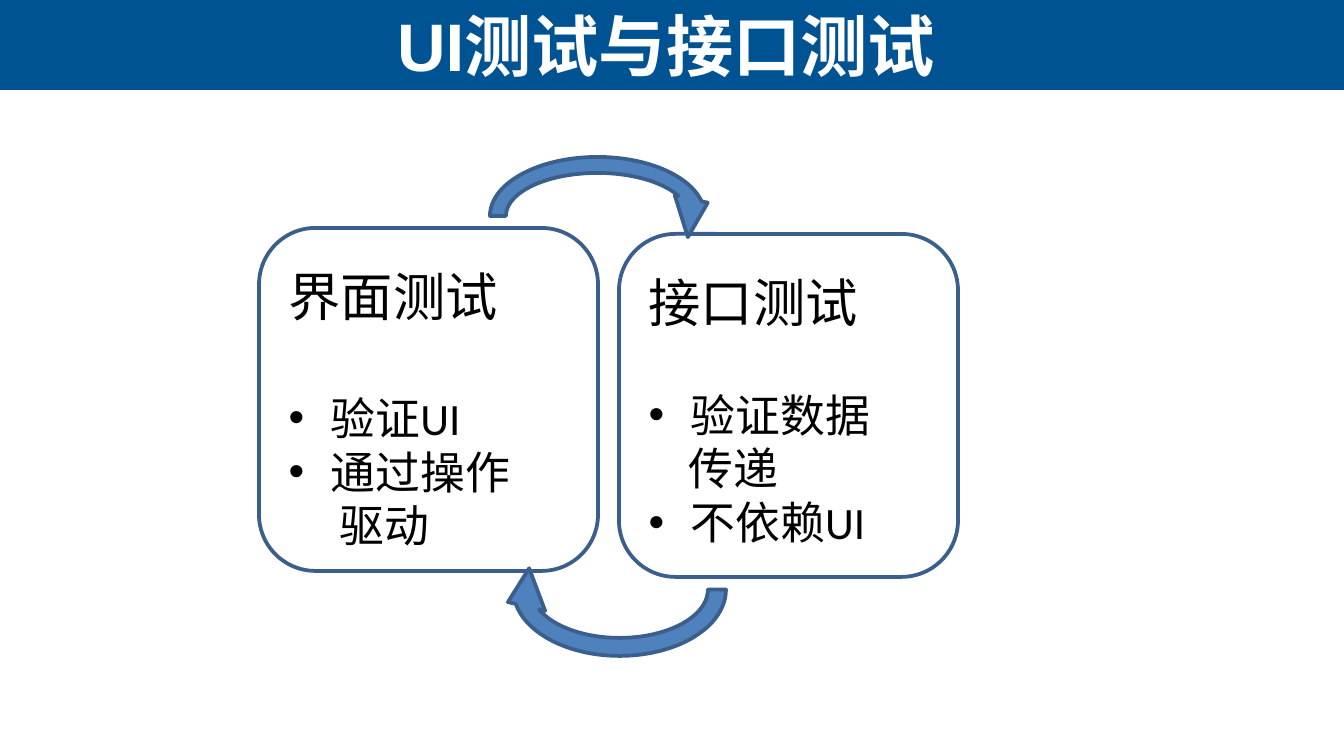
from lxml import etree
from pptx import Presentation
from pptx.dml.color import RGBColor
from pptx.enum.shapes import MSO_SHAPE
from pptx.enum.text import MSO_ANCHOR, MSO_AUTO_SIZE, PP_ALIGN
from pptx.oxml.ns import qn
from pptx.util import Inches, Pt

RECT = MSO_SHAPE.RECTANGLE
ROUND = MSO_SHAPE.ROUNDED_RECTANGLE
ARROW = MSO_SHAPE.CIRCULAR_ARROW
TOP, MIDDLE = MSO_ANCHOR.TOP, MSO_ANCHOR.MIDDLE
LEFT, CENTER = PP_ALIGN.LEFT, PP_ALIGN.CENTER
FIXED = MSO_AUTO_SIZE.NONE

SCALE = Inches(10) / 1344
WHITE, BLACK = "FFFFFF", "000000"
NAVY, BLUE, EDGE = "005392", "4F81BD", "3A5F8C"
BEND = (0.118, 14.139, 209.801, 108, 0.125)
HANG = 42


def px(n):
    return round(n * SCALE)


def color(code):
    return RGBColor.from_string(code)


def add_shape(slide, kind, area, fill, line=None):
    shape = slide.shapes.add_shape(kind, *map(px, area))
    shape.shadow.inherit = False
    shape.fill.solid()
    shape.fill.fore_color.rgb = color(fill)
    if line:
        shape.line.color.rgb = color(line)
        shape.line.width = Pt(2)
    else:
        shape.line.fill.background()
    return shape


def set_font(para, name, size, code, bold=False):
    font = para.font
    font.name = name
    font.size = Pt(size)
    font.bold = bold
    font.color.rgb = color(code)


def set_indent(para, left, bullet):
    props = para._p.get_or_add_pPr()
    props.set("marL", str(px(left)))
    if bullet:
        props.set("indent", str(-px(left)))
        face = etree.SubElement(props, qn("a:buFont"))
        face.set("typeface", "Arial")
        mark = etree.SubElement(props, qn("a:buChar"))
        mark.set("char", "•")


def add_title(slide, text):
    band = add_shape(slide, RECT, (0, 0, 1344, 90), NAVY)
    slide.shapes._spTree.insert(2, band._element)
    title = slide.shapes.title
    title.left, title.top, title.width, title.height = map(px, (3, 0, 1326, 90))
    frame = title.text_frame
    frame.text = text
    frame.auto_size = FIXED
    frame.vertical_anchor = MIDDLE
    para = frame.paragraphs[0]
    para.alignment = CENTER
    set_font(para, "Arial", 36, WHITE, True)


def add_card(slide, left, top, head, gap, inset, items):
    card = add_shape(slide, ROUND, (left, top, 339, 343), WHITE, EDGE)
    frame = card.text_frame
    frame.word_wrap = True
    frame.vertical_anchor = TOP
    frame.margin_top = px(20)
    para = frame.paragraphs[0]
    para.text = head
    para.alignment = LEFT
    set_font(para, "Calibri", 28, BLACK)
    for i, (text, bullet) in enumerate(items):
        para = frame.add_paragraph()
        para.text = text
        para.alignment = LEFT
        para.space_before = Pt(0 if i else gap)
        set_indent(para, HANG if bullet else inset, bullet)
        set_font(para, "Calibri", 24, BLACK)


def add_arrow(slide, area, turn=0):
    arrow = add_shape(slide, ARROW, area, BLUE, EDGE)
    arrow.rotation = turn
    for i, value in enumerate(BEND):
        arrow.adjustments[i] = value


def main():
    deck = Presentation()
    deck.slide_width, deck.slide_height = px(1344), px(756)
    slide = deck.slides.add_slide(deck.slide_layouts[5])
    slide.background.fill.solid()
    slide.background.fill.fore_color.rgb = color(WHITE)
    add_title(slide, "UI测试与接口测试")
    add_card(slide, 259, 228, "界面测试", 34, 51,
             [("验证UI", True), ("通过操作", True), ("驱动", False)])
    add_card(slide, 619, 234, "接口测试", 29, 40,
             [("验证数据", True), ("传递", False), ("不依赖UI", True)])
    add_arrow(slide, (481, 148, 233, 136))
    add_arrow(slide, (503, 513, 233, 153), 180)
    deck.save("out.pptx")


if __name__ == "__main__":
    main()
